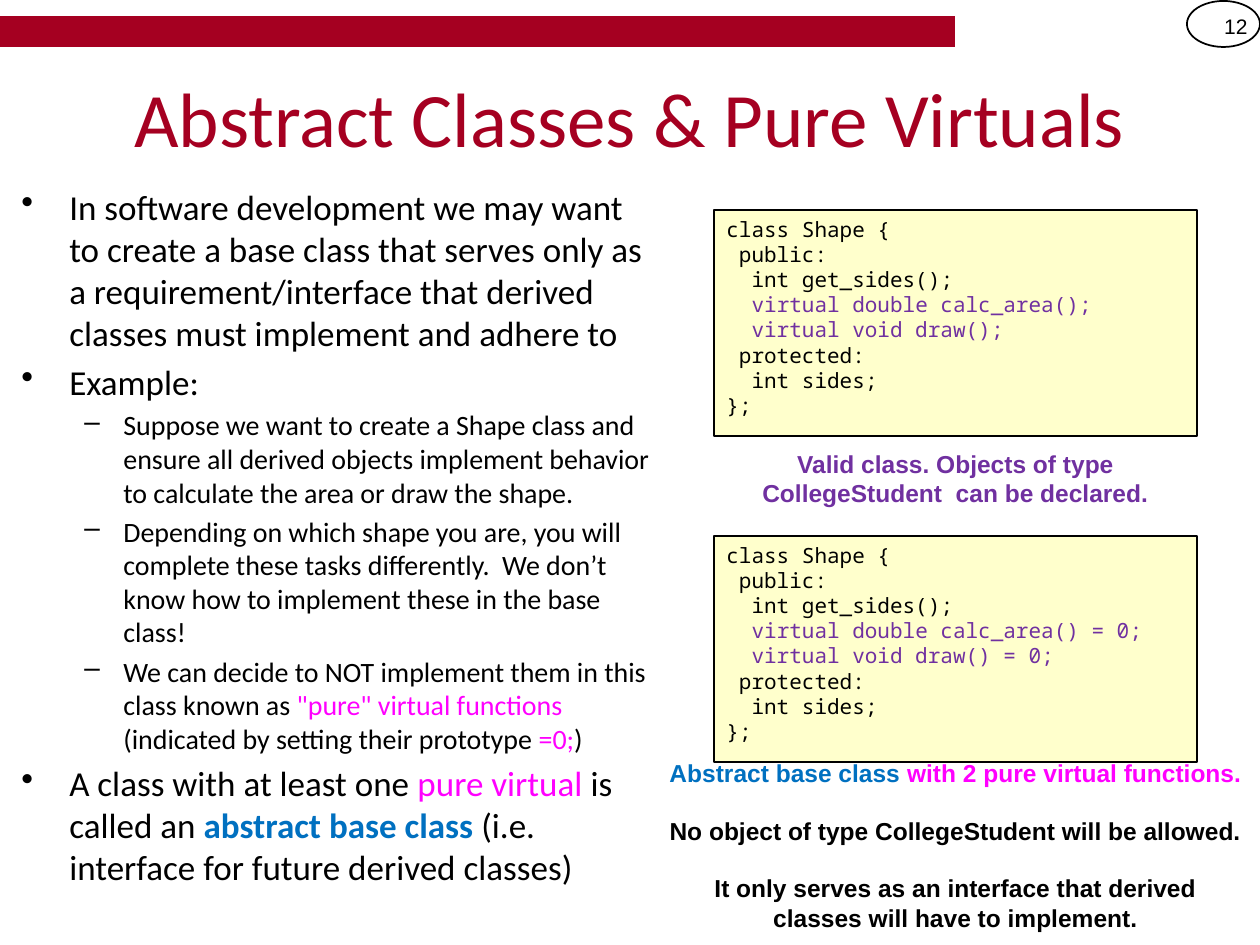
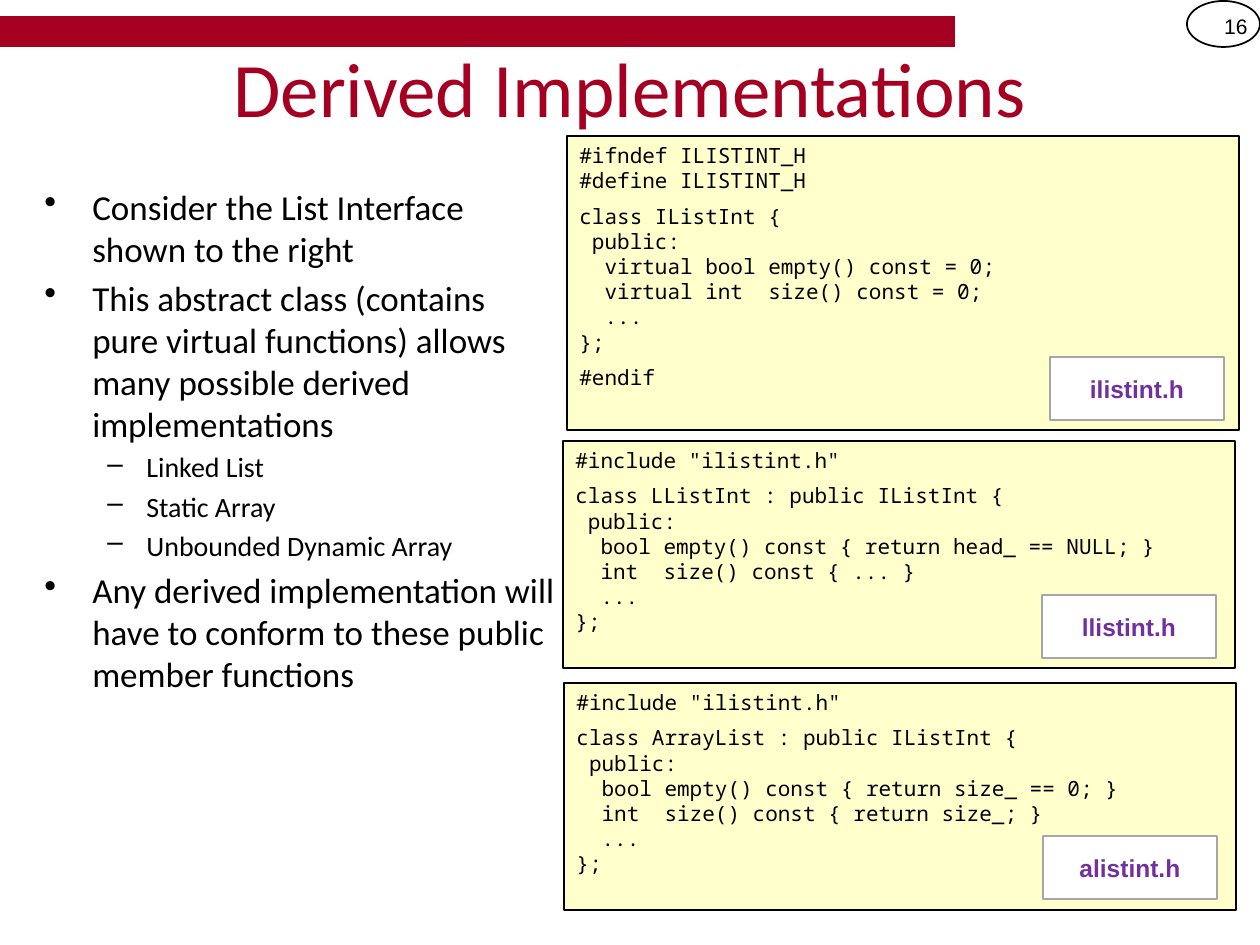
"""Builds two lecture slides on abstract classes and derived implementations."""
from lxml import etree
from pptx import Presentation
from pptx import util as u
from pptx.dml import color
from pptx.enum import shapes, text
from pptx.oxml import ns

COLOURS = {
    "red": "A50021", "black": "000000", "white": "FFFFFF", "cream": "FFFFCC",
    "grey": "A6A6A6", "purple": "7030A0", "magenta": "FF00FF", "blue": "0070C0",
}
SCALE = 914400 / 126
LEFT, CENTER, RIGHT = text.PP_ALIGN.LEFT, text.PP_ALIGN.CENTER, text.PP_ALIGN.RIGHT
LEVELS = [("\u2022", 0.38, 0.38, 20), ("\u2013", 0.81, 0.31, 16)]


def px(length):
    """Turn pixels into EMU."""
    return u.Emu(round(length * SCALE))


def rgb(name):
    """Look up a colour by name."""
    return color.RGBColor.from_string(COLOURS[name])


class Deck:
    """Holds the presentation, its style and the current slide."""

    def __init__(self):
        """Start an empty presentation."""
        self.presentation = Presentation()
        self.presentation.slide_width = px(1260)
        self.presentation.slide_height = px(945)
        self.slide = None

    def new_slide(self, number, title, title_height):
        """Add a slide with its band, page number and title."""
        self.slide = self.presentation.slides.add_slide(self.presentation.slide_layouts[6])
        self.textbox((1187, 1, 73, 50), [str(number)], size=12, align=RIGHT)
        self.shape((0, 16, 955, 31), fill="red")
        self.shape((1187, 1, 73, 46), line="black", width=1, kind=shapes.MSO_SHAPE.OVAL)
        self.textbox((63, 38, 1134, title_height), [title],
                     size=44, name="Calibri", colour="red", align=CENTER)

    def shape(self, box, fill=None, line=None, width=0.75, kind=shapes.MSO_SHAPE.RECTANGLE):
        """Add a preset shape."""
        shape = self.slide.shapes.add_shape(kind, *map(px, box))
        shape.shadow.inherit = False
        if fill:
            shape.fill.solid()
            shape.fill.fore_color.rgb = rgb(fill)
        else:
            shape.fill.background()
        if line:
            shape.line.color.rgb = rgb(line)
            shape.line.width = u.Pt(width)
        else:
            shape.line.fill.background()
        return shape

    def paragraph(self, frame, index, content, size, name="Arial", colour="black",
                  bold=False, align=LEFT, gap=0):
        """Set one paragraph from a string or a list of (text, colour, bold) runs."""
        paragraph = frame.add_paragraph() if index else frame.paragraphs[0]
        paragraph.alignment = align
        paragraph.space_before = u.Pt(gap if index else 0)
        font = paragraph.font
        font.size, font.name, font.bold = u.Pt(size), name, bold
        font.color.rgb = rgb(colour)
        for part in [content] if isinstance(content, str) else content:
            words, *style = (part,) if isinstance(part, str) else part
            for row, line in enumerate(words.split("\n")):
                if row:
                    paragraph.add_line_break()
                if line:
                    run = paragraph.add_run()
                    run.text = line
                    if style:
                        run.font.color.rgb = rgb(style[0])
                    if len(style) > 1:
                        run.font.bold = style[1]
        return paragraph

    def fill_text(self, shape, paragraphs, anchor=text.MSO_ANCHOR.MIDDLE, **style):
        """Fill a shape with equally styled paragraphs."""
        frame = shape.text_frame
        frame.word_wrap = True
        frame.vertical_anchor = anchor
        for index, content in enumerate(paragraphs):
            self.paragraph(frame, index, content, **style)

    def textbox(self, box, paragraphs, **style):
        """Add a vertically centred text box."""
        self.fill_text(self.slide.shapes.add_textbox(*map(px, box)), paragraphs, **style)

    def caption(self, box, paragraphs, colour="black"):
        """Add a bold centred remark."""
        self.textbox(box, paragraphs, size=14, colour=colour, bold=True, align=CENTER, gap=16.1)

    def bullets(self, box, items):
        """Add a bulleted list of (level, content) items."""
        frame = self.slide.shapes.add_textbox(*map(px, box)).text_frame
        frame.word_wrap = True
        for index, (level, content) in enumerate(items):
            mark, margin, hang, size = LEVELS[level]
            paragraph = self.paragraph(frame, index, content, size, "Calibri", gap=size / 5)
            paragraph.level = level
            properties = paragraph._p.get_or_add_pPr()
            properties.set("marL", str(u.Inches(margin)))
            properties.set("indent", str(-u.Inches(hang)))
            bullet = etree.Element(ns.qn("a:buChar"), char=mark)
            properties.find(ns.qn("a:defRPr")).addprevious(bullet)

    def code(self, box, paragraphs):
        """Add a code listing."""
        shape = self.shape(box, fill="cream", line="black")
        self.fill_text(shape, paragraphs, anchor=text.MSO_ANCHOR.TOP,
                       size=12, name="Noto Sans Mono", gap=6)

    def file_label(self, box, name):
        """Add a file name tag."""
        shape = self.shape(box, fill="white", line="grey")
        self.fill_text(shape, [name], size=14, colour="purple", bold=True, align=CENTER)


deck = Deck()

deck.new_slide(12, "Abstract Classes & Pure Virtuals", 158)
deck.bullets((9, 179, 663, 624), [
    (0, "In software development we may want to create a base class that serves only as "
        "a requirement/interface that derived classes must implement and adhere to"),
    (0, "Example:"),
    (1, "Suppose we want to create a Shape class and ensure all derived objects implement "
        "behavior to calculate the area or draw the shape."),
    (1, "Depending on which shape you are, you will complete these tasks differently.  "
        "We don\u2019t know how to implement these in the base class!"),
    (1, ["We can decide to NOT implement them in this class known as ",
         ("\"pure\" virtual functions ", "magenta"),
         "(indicated by setting their prototype ", ("=0;", "magenta"), ")"]),
    (0, ["A class with at least one ", ("pure virtual", "magenta"), " is called an ",
         ("abstract base class ", "blue", True),
         "(i.e. interface for future derived classes)"]),
])
for top, suffix in [(210, ""), (536, " = 0")]:
    deck.code((714, top, 483, 226), [[
        "class Shape {\n public:\n  int get_sides();\n  ",
        (f"virtual double calc_area(){suffix};\n  virtual void draw(){suffix};\n", "purple"),
        " protected:\n  int sides;\n};",
    ]])
deck.caption((656, 761, 599, 168), [
    [("Abstract base class ", "blue"), ("with 2 pure virtual functions.", "magenta")],
    "No object of type CollegeStudent will be allowed.",
    "It only serves as an interface that derived classes will have to implement.",
])
deck.caption((714, 436, 483, 84),
             ["Valid class. Objects of type CollegeStudent  can be declared."], "purple")

deck.new_slide(16, "Derived Implementations", 98)
deck.bullets((32, 179, 535, 624), [
    (0, "Consider the List Interface shown to the right"),
    (0, "This abstract class (contains pure virtual functions) allows many possible "
        "derived implementations"),
    (1, "Linked List"),
    (1, "Static Array"),
    (1, "Unbounded Dynamic Array"),
    (0, "Any derived implementation will have to conform to these public member functions"),
])


def class_code(heading, empty, size, kind=""):
    """Return the listing of a list class."""
    return (f"class {heading} {{\n public:\n  {kind}bool empty() const {empty}\n"
            f"  {kind}int  size() const {size}\n  ...\n}};")


INCLUDE = "#include \"ilistint.h\""
LISTINGS = [
    ((567, 136, 672, 294), (1050, 357), "ilistint.h",
     ["#ifndef ILISTINT_H\n#define ILISTINT_H",
      class_code("IListInt", "= 0;", "= 0;", "virtual "), "#endif"]),
    ((563, 441, 672, 227), (1042, 595), "llistint.h",
     [INCLUDE, class_code("LListInt : public IListInt",
                          "{ return head_ == NULL; }", "{ ... }")]),
    ((564, 683, 672, 227), (1043, 836), "alistint.h",
     [INCLUDE, class_code("ArrayList : public IListInt",
                          "{ return size_ == 0; }", "{ return size_; }")]),
]
for box, corner, name, paragraphs in LISTINGS:
    deck.code(box, paragraphs)
    deck.file_label((*corner, 174, 63), name)

deck.presentation.save("out.pptx")
